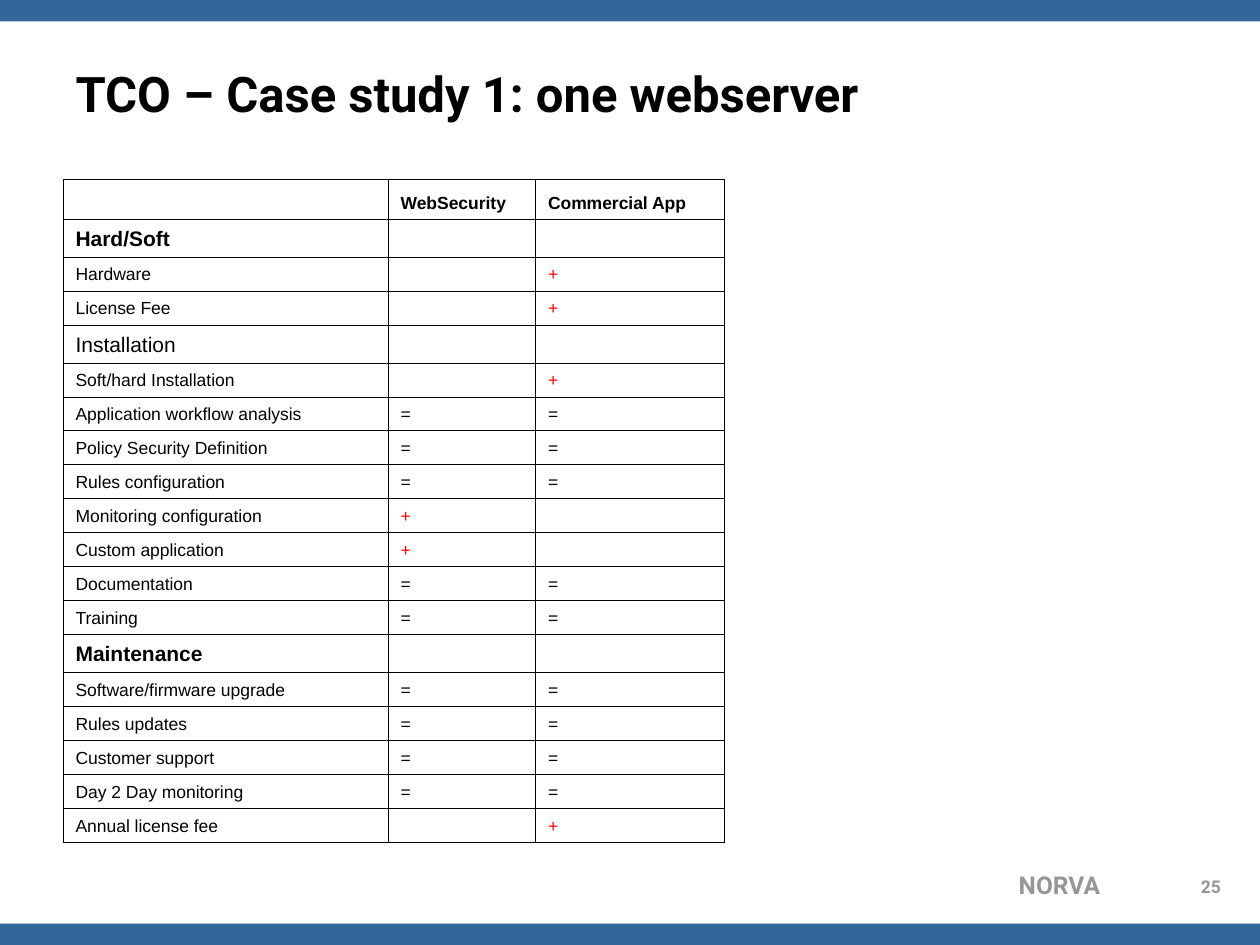
from lxml.etree import SubElement
from pptx import Presentation
from pptx.dml.color import RGBColor
from pptx.enum.shapes import MSO_SHAPE
from pptx.enum.text import MSO_ANCHOR, PP_ALIGN
from pptx.oxml.ns import qn
from pptx.util import Inches, Pt

TITLE = "TCO – Case study 1: one webserver"
FOOTER = "NORVA"
PAGE_NUMBER = "25"
HEADER = ("", "WebSecurity", "Commercial App")
SECTIONS = [
    ("Hard/Soft", True, [
        ("Hardware", "", "+"),
        ("License Fee", "", "+"),
    ]),
    ("Installation", False, [
        ("Soft/hard Installation", "", "+"),
        ("Application workflow analysis", "=", "="),
        ("Policy Security Definition", "=", "="),
        ("Rules configuration", "=", "="),
        ("Monitoring configuration", "+", ""),
        ("Custom application", "+", ""),
        ("Documentation", "=", "="),
        ("Training", "=", "="),
    ]),
    ("Maintenance", True, [
        ("Software/firmware upgrade", "=", "="),
        ("Rules updates", "=", "="),
        ("Customer support", "=", "="),
        ("Day 2 Day monitoring", "=", "="),
        ("Annual license fee", "", "+"),
    ]),
]

WIDTH, HEIGHT = 10, 7.5
MARGIN = 0.05 * WIDTH
BAR_HEIGHT = 0.17
COLUMNS = (2.58, 1.17, 1.5)
HEADER_HEIGHT, SECTION_HEIGHT, ITEM_HEIGHT = 0.32, 0.3, 0.27
BLUE, GREY, BLACK, RED = "336699", "969696", "000000", "FF0000"


def color(value):
    return RGBColor.from_string(value)


def add_span(para, text, size, font, fill, bold):
    span = para.add_run()
    span.text = text
    span.font.size = Pt(size)
    span.font.name = font
    span.font.bold = bold
    span.font.color.rgb = color(fill)


def add_label(page, place, text, size, align):
    box = page.shapes.add_textbox(*map(Inches, place))
    box.text_frame.word_wrap = True
    para = box.text_frame.paragraphs[0]
    para.alignment = align
    add_span(para, text, size, "Roboto", GREY, True)


def add_bar(page, top):
    bar = page.shapes.add_shape(
        MSO_SHAPE.RECTANGLE, 0, Inches(top), Inches(WIDTH), Inches(BAR_HEIGHT))
    bar.shadow.inherit = False
    bar.fill.solid()
    bar.fill.fore_color.rgb = color(BLUE)
    bar.line.fill.background()


def add_borders(cell):
    properties = cell._tc.get_or_add_tcPr()
    for side in ("a:lnL", "a:lnR", "a:lnT", "a:lnB"):
        border = SubElement(properties, qn(side), w=str(Pt(0.45)))
        fill = SubElement(border, qn("a:solidFill"))
        SubElement(fill, qn("a:srgbClr"), val=BLACK)


def fill_cell(cell, text, size, bold):
    add_borders(cell)
    cell.fill.background()
    cell.vertical_anchor = MSO_ANCHOR.BOTTOM
    cell.margin_left = cell.margin_right = Inches(0.1)
    cell.margin_top = cell.margin_bottom = Inches(0.05)
    para = cell.text_frame.paragraphs[0]
    if text:
        add_span(para, text, size, "Arial", RED if text == "+" else BLACK, bold)
    else:
        SubElement(para._p, qn("a:endParaRPr"), sz=str(size * 100))


def table_rows():
    rows = [(HEADER, HEADER_HEIGHT, 10, True)]
    for name, bold, items in SECTIONS:
        rows.append(((name, "", ""), SECTION_HEIGHT, 12, bold))
        rows += [(item, ITEM_HEIGHT, 10, False) for item in items]
    return rows


def add_cost_table(page):
    rows = table_rows()
    height = sum(row[1] for row in rows)
    frame = page.shapes.add_table(
        len(rows), len(COLUMNS), Inches(MARGIN), Inches(1.42),
        Inches(sum(COLUMNS)), Inches(height))
    table = frame.table
    table.first_row = table.horz_banding = False
    for column, width in zip(table.columns, COLUMNS):
        column.width = Inches(width)
    for line, (texts, row_height, size, bold) in zip(table.rows, rows):
        line.height = Inches(row_height)
        for cell, text in zip(line.cells, texts):
            fill_cell(cell, text, size, bold)


def add_title(page):
    title = page.shapes.title
    title.left, title.top = Inches(MARGIN), Inches(0.3)
    title.width, title.height = Inches(WIDTH - 2 * MARGIN), Inches(0.87)
    title.text_frame.vertical_anchor = MSO_ANCHOR.MIDDLE
    para = title.text_frame.paragraphs[0]
    para.alignment = PP_ALIGN.LEFT
    add_span(para, TITLE, 28, "Roboto", BLACK, True)


def main():
    deck = Presentation()
    deck.slide_width, deck.slide_height = Inches(WIDTH), Inches(HEIGHT)
    page = deck.slides.add_slide(deck.slide_layouts[5])
    for top in (0, HEIGHT - BAR_HEIGHT):
        add_bar(page, top)
    add_label(page, (6.22, 6.86, 2.61, 0.33), FOOTER, 14, PP_ALIGN.RIGHT)
    add_title(page)
    add_cost_table(page)
    add_label(page, (9.39, 6.9, 0.44, 0.25), PAGE_NUMBER, 10, PP_ALIGN.CENTER)
    deck.save("out.pptx")


if __name__ == "__main__":
    main()
